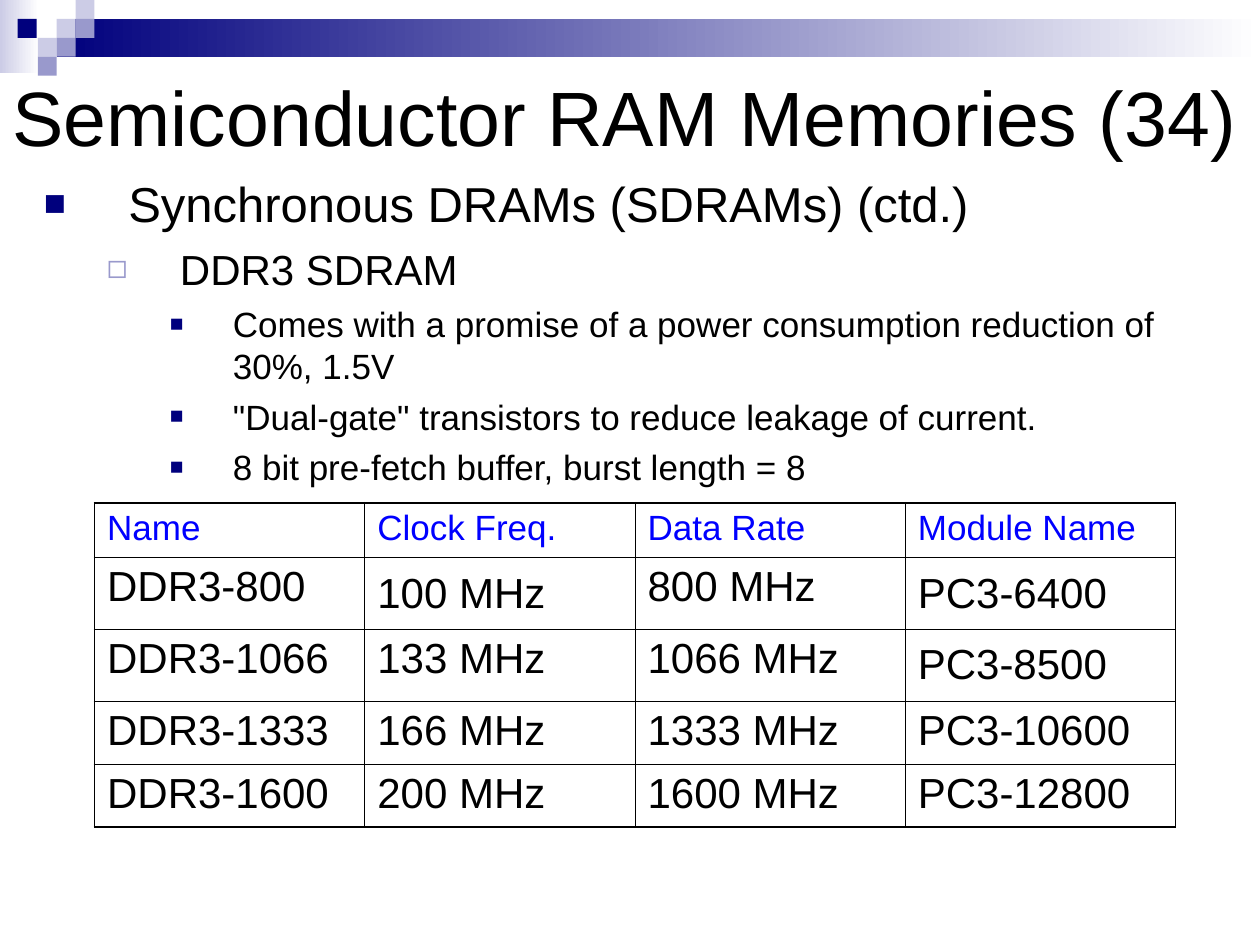
import pptx
import pptx.dml.color
import pptx.enum.shapes
import pptx.enum.text
import pptx.oxml.ns
import pptx.util
from lxml import etree

Inches = pptx.util.Inches
Pt = pptx.util.Pt
RGBColor = pptx.dml.color.RGBColor

NAVY = RGBColor(0x00, 0x00, 0x7D)
PERIWINKLE = RGBColor(0x99, 0x99, 0xCC)
LAVENDER = RGBColor(0xCC, 0xCC, 0xE6)
WHITE = RGBColor(0xFF, 0xFF, 0xFF)
BLACK = RGBColor(0x00, 0x00, 0x00)
BLUE = RGBColor(0x00, 0x00, 0xFF)
FONT = "Arial"

SQUARES = [
    (0.45, 0.15, LAVENDER),
    (0.6, 0, LAVENDER),
    (0.6, 0.15, PERIWINKLE),
    (0.3, 0.3, LAVENDER),
    (0.14, 0.15, NAVY),
    (0.45, 0.3, PERIWINKLE),
    (0.3, 0.45, PERIWINKLE),
]
LEVELS = [
    dict(size=28, indent=0.67, hanging=0.67, before=7, bullet="■", color=NAVY, percent=75),
    dict(size=24, indent=1.08, hanging=0.58, before=6, bullet="◻", color=PERIWINKLE, percent=80),
    dict(size=20, indent=1.5, hanging=0.5, before=5, bullet="■", color=NAVY, percent=65),
]
POINTS = [
    (0, "Synchronous DRAMs (SDRAMs) (ctd.)"),
    (1, "DDR3 SDRAM"),
    (2, "Comes with a promise of a power consumption reduction of 30%, 1.5V"),
    (2, "\"Dual-gate\" transistors to reduce leakage of current."),
    (2, "8 bit pre-fetch buffer, burst length = 8"),
]
MODULES = [
    ("Name", "Clock Freq.", "Data Rate", "Module Name"),
    ("DDR3-800", "100 MHz", "800 MHz", "PC3-6400"),
    ("DDR3-1066", "133 MHz", "1066 MHz", "PC3-8500"),
    ("DDR3-1333", "166 MHz", "1333 MHz", "PC3-10600"),
    ("DDR3-1600", "200 MHz", "1600 MHz", "PC3-12800"),
]
ROW_HEIGHTS = [0.43, 0.57, 0.57, 0.5, 0.5]
LOWERED_CELLS = {(1, 1), (1, 3), (2, 3)}


def add_element(parent, tag, **attributes):
    """Append a DrawingML child element and return it."""
    child = etree.SubElement(parent, pptx.oxml.ns.qn(tag))
    for name, value in attributes.items():
        child.set(name, str(value))
    return child


def style_font(font, size, color):
    """Apply the slide's typeface with a size and colour."""
    font.name = FONT
    font.size = Pt(size)
    font.color.rgb = color


def add_block(slide, left, top, width, height, color, fade_to=None):
    """Add a borderless rectangle, solid or fading left to right."""
    block = slide.shapes.add_shape(
        pptx.enum.shapes.MSO_SHAPE.RECTANGLE,
        Inches(left), Inches(top), Inches(width), Inches(height))
    block.shadow.inherit = False
    block.line.fill.background()
    if fade_to is None:
        block.fill.solid()
        block.fill.fore_color.rgb = color
        return
    block.fill.gradient()
    block.fill.gradient_angle = 0
    for stop, stop_color, position in zip(block.fill.gradient_stops, (color, fade_to), (0, 1)):
        stop.color.rgb = stop_color
        stop.position = position


def add_banner(slide, left, top, width):
    """Draw the fading bar and the mosaic of squares in its corner."""
    add_block(slide, left, top, 0.31, 0.58, LAVENDER, WHITE)
    add_block(slide, left + 0.45, top + 0.15, width - 0.45, 0.3, NAVY, WHITE)
    for x, y, color in SQUARES:
        add_block(slide, left + x, top + y, 0.15, 0.15, color)


def place_title(slide, left, top, width, height):
    """Position and format the title placeholder."""
    title = slide.shapes.title
    title.left, title.top = Inches(left), Inches(top)
    title.width, title.height = Inches(width), Inches(height)
    frame = title.text_frame
    frame.text = "Semiconductor RAM Memories (34)"
    frame.auto_size = pptx.enum.text.MSO_AUTO_SIZE.NONE
    frame.vertical_anchor = pptx.enum.text.MSO_ANCHOR.MIDDLE
    frame.paragraphs[0].alignment = pptx.enum.text.PP_ALIGN.LEFT
    style_font(frame.paragraphs[0].font, 44, BLACK)


def add_outline(slide, left, top, width, height):
    """Add the three-level bulleted outline."""
    frame = slide.shapes.add_textbox(
        Inches(left), Inches(top), Inches(width), Inches(height)).text_frame
    frame.word_wrap = True
    for index, (depth, text) in enumerate(POINTS):
        level = LEVELS[depth]
        paragraph = frame.add_paragraph() if index else frame.paragraphs[0]
        paragraph.text = text
        paragraph.level = depth
        if index:
            paragraph.space_before = Pt(level["before"])
        properties = paragraph._p.get_or_add_pPr()
        properties.set("marL", str(Inches(level["indent"])))
        properties.set("indent", str(-Inches(level["hanging"])))
        bullet_color = add_element(properties, "a:buClr")
        add_element(bullet_color, "a:srgbClr", val=level["color"])
        add_element(properties, "a:buSzPct", val=level["percent"] * 1000)
        add_element(properties, "a:buFont", typeface=FONT)
        add_element(properties, "a:buChar", char=level["bullet"])
        style_font(paragraph.font, level["size"], BLACK)


def add_borders(cell, row, column):
    """Rule a cell, heavier along the outside of the table."""
    outer_edges = {
        "a:lnL": column == 0,
        "a:lnR": column == len(MODULES[0]) - 1,
        "a:lnT": row == 0,
        "a:lnB": row == len(MODULES) - 1,
    }
    properties = cell._tc.get_or_add_tcPr()
    for tag, is_outer in outer_edges.items():
        border = add_element(properties, tag, w=Pt(1.08 if is_outer else 0.45))
        add_element(add_element(border, "a:solidFill"), "a:srgbClr", val=BLACK)


def add_module_table(slide, left, top, width):
    """Add the table of DDR3 speeds and module names."""
    table = slide.shapes.add_table(
        len(MODULES), len(MODULES[0]), Inches(left), Inches(top),
        Inches(width), Inches(sum(ROW_HEIGHTS))).table
    table.first_row = False
    table.horz_banding = False
    for table_column in table.columns:
        table_column.width = Inches(width / len(MODULES[0]))
    for row, values in enumerate(MODULES):
        table.rows[row].height = Inches(ROW_HEIGHTS[row])
        for column, value in enumerate(values):
            cell = table.cell(row, column)
            cell.text = value
            cell.margin_top = Inches(0.1 if (row, column) in LOWERED_CELLS else 0.05)
            add_borders(cell, row, column)
            cell.fill.background()
            size, color = (24, BLACK) if row else (20, BLUE)
            style_font(cell.text_frame.paragraphs[0].font, size, color)


def main():
    """Build and save the slide."""
    presentation = pptx.Presentation()
    presentation.slide_width = Inches(10)
    presentation.slide_height = Inches(7.5)
    slide = presentation.slides.add_slide(presentation.slide_layouts[5])
    add_banner(slide, 0, 0, 10)
    place_title(slide, 0, 0.33, 10, 1.17)
    add_outline(slide, 0.25, 1.33, 9.08, 4.25)
    add_module_table(slide, 0.75, 3.99, 8.58)
    presentation.save("out.pptx")


if __name__ == "__main__":
    main()
